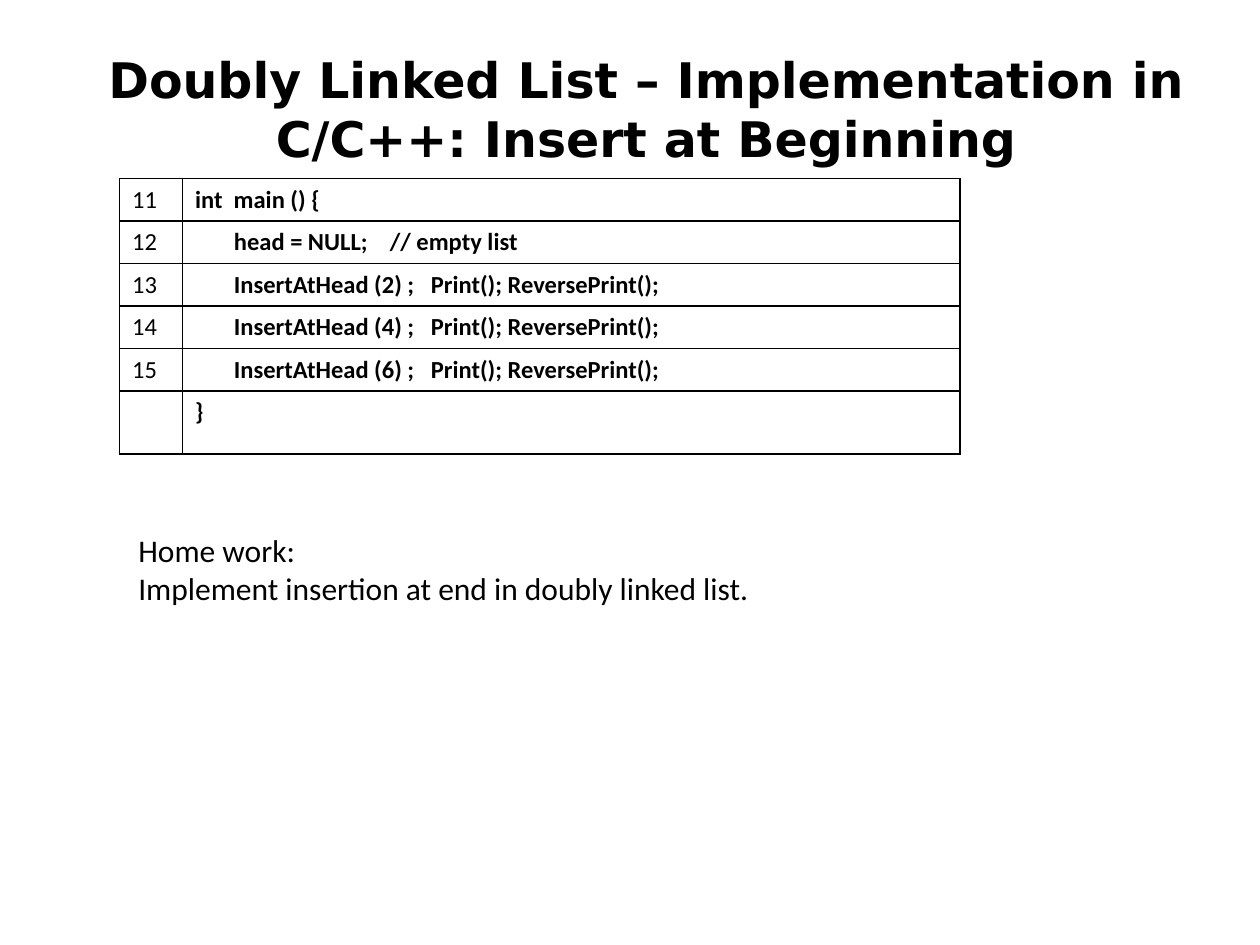
from dataclasses import dataclass

from lxml import etree
from pptx import Presentation
from pptx.dml.color import RGBColor
from pptx.enum import text
from pptx.oxml import ns
from pptx.util import Cm, Pt


@dataclass(frozen=True)
class Theme:
    ink: str = "000000"
    paper: str = "FFFFFF"
    title_font: str = "DejaVu Sans"
    body_font: str = "Calibri"
    title_size: int = 28
    code_size: int = 14
    note_size: int = 18
    rule_width: int = 1


THEME = Theme()
TITLE = "Doubly Linked List – Implementation in C/C++: Insert at Beginning"
INSERTS = [
    (str(number), f"       InsertAtHead ({value}) ;   Print(); ReversePrint();")
    for number, value in zip((13, 14, 15), (2, 4, 6))
]
CODE_LINES = [
    ("11", "int  main () {"),
    ("12", "       head = NULL;    // empty list"),
    *INSERTS,
    ("", "}"),
]
HOMEWORK = ["Home work:", "Implement insertion at end in doubly linked list."]


def style_paragraph(para, name, size, bold=False):
    para.font.name = name
    para.font.size = Pt(size)
    para.font.bold = bold
    para.font.color.rgb = RGBColor.from_string(THEME.ink)


def add_cell_borders(cell):
    properties = cell._tc.get_or_add_tcPr()
    for position, side in enumerate(("lnL", "lnR", "lnT", "lnB")):
        line = etree.Element(ns.qn(f"a:{side}"), w=str(Pt(THEME.rule_width)))
        fill = etree.SubElement(line, ns.qn("a:solidFill"))
        etree.SubElement(fill, ns.qn("a:srgbClr"), val=THEME.ink)
        properties.insert(position, line)


def place_title(page, left, top, width, height):
    title = page.shapes.title
    title.left, title.top, title.width, title.height = left, top, width, height
    frame = title.text_frame
    frame.text = TITLE
    frame.word_wrap = True
    frame.auto_size = text.MSO_AUTO_SIZE.NONE
    frame.vertical_anchor = text.MSO_ANCHOR.TOP
    frame.margin_top = Cm(0.24)
    para = frame.paragraphs[0]
    para.alignment = text.PP_ALIGN.CENTER
    style_paragraph(para, THEME.title_font, THEME.title_size, bold=True)


def place_code_table(page, left, top, width, height):
    """Number column on the left; the last row takes the height left over."""
    number_width, row_height = Cm(1.27), Cm(0.85)
    count = len(CODE_LINES)
    table = page.shapes.add_table(count, 2, left, top, width, height).table
    table.first_row = table.horz_banding = False
    table.columns[0].width = number_width
    table.columns[1].width = width - number_width
    for row in table.rows:
        row.height = row_height
    table.rows[count - 1].height = height - row_height * (count - 1)

    for row, line in zip(table.rows, CODE_LINES):
        for column, (cell, words) in enumerate(zip(row.cells, line)):
            cell.text = words
            cell.fill.solid()
            cell.fill.fore_color.rgb = RGBColor.from_string(THEME.paper)
            add_cell_borders(cell)
            style_paragraph(cell.text_frame.paragraphs[0], THEME.body_font,
                            THEME.code_size, bold=column == 1)


def place_homework(page, left, top, width, height):
    box = page.shapes.add_textbox(left, top, width, height)
    frame = box.text_frame
    frame.word_wrap = True
    frame.auto_size = text.MSO_AUTO_SIZE.SHAPE_TO_FIT_TEXT
    frame.text = "\n".join(HOMEWORK)
    for para in frame.paragraphs:
        style_paragraph(para, THEME.body_font, THEME.note_size)


def main():
    deck = Presentation()
    deck.slide_width, deck.slide_height = Cm(25.4), Cm(19.05)
    page = deck.slides.add_slide(deck.slide_layouts.get_by_name("Title Only"))
    place_title(page, Cm(1.27), Cm(0.76), Cm(23.5), Cm(3.18))
    place_code_table(page, Cm(2.41), Cm(3.6), Cm(16.94), Cm(5.52))
    place_homework(page, Cm(2.54), Cm(10.59), Cm(18.85), Cm(1.8))
    deck.save("out.pptx")


if __name__ == "__main__":
    main()
